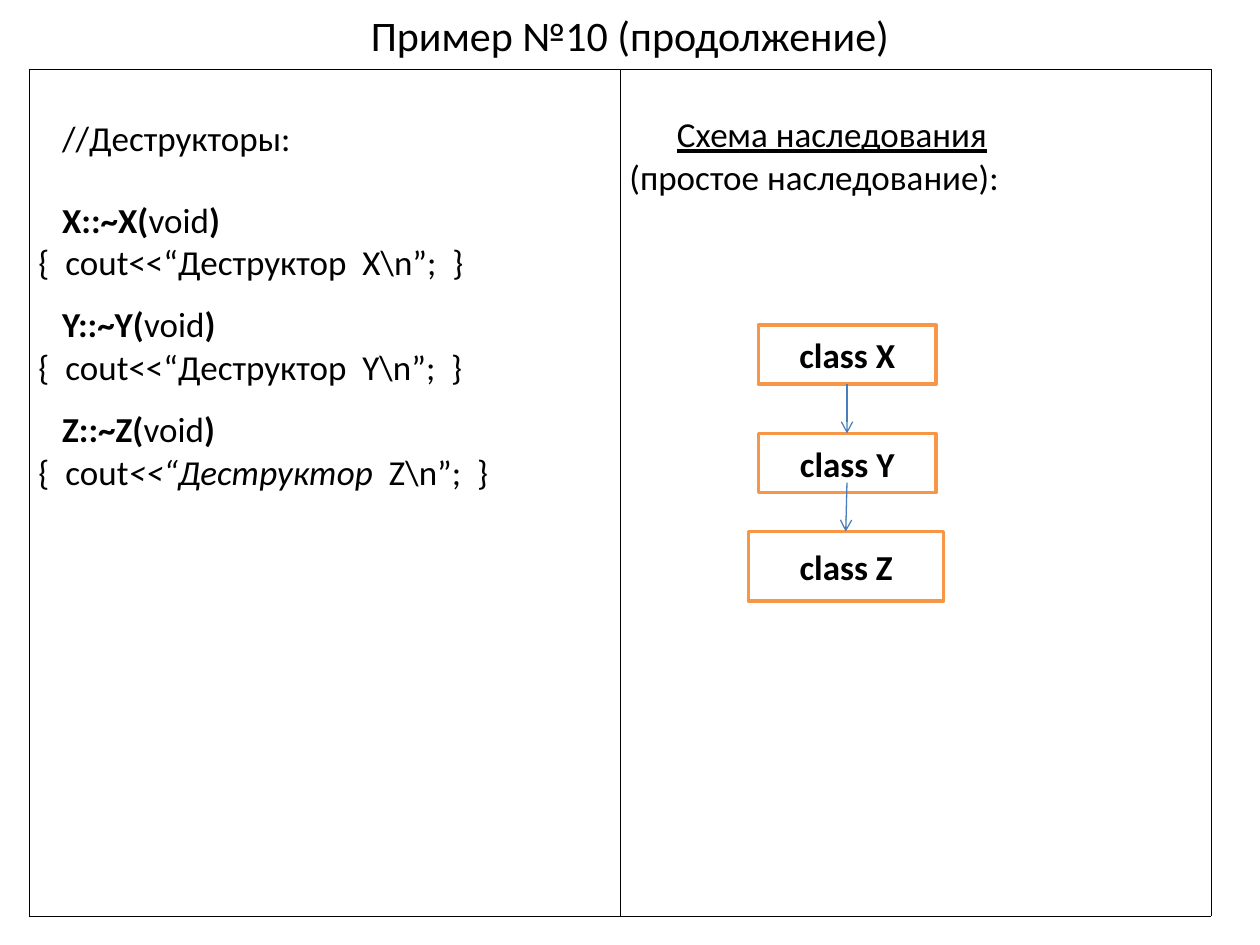
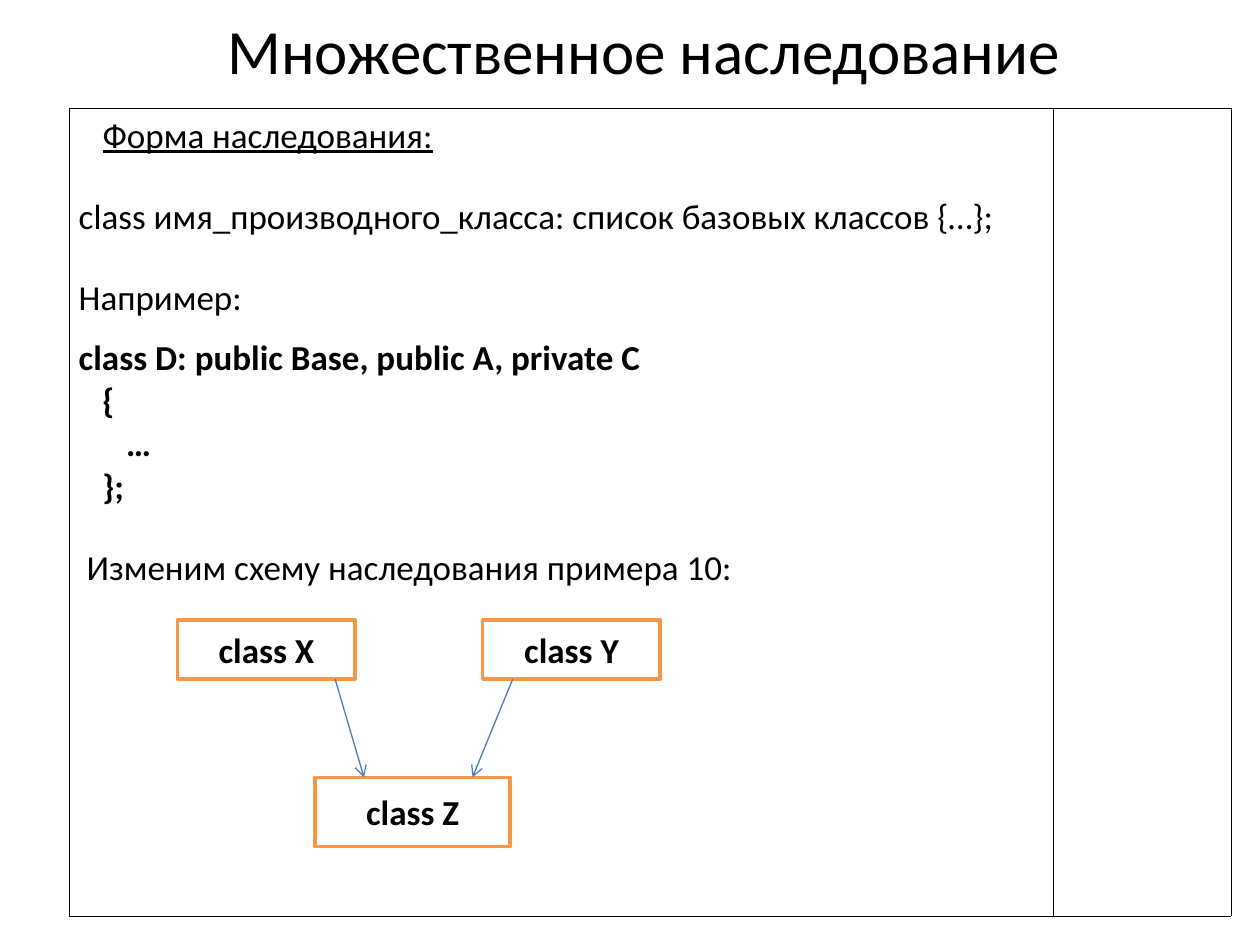
from lxml import etree
from pptx import Presentation
from pptx.dml.color import RGBColor
from pptx.enum.shapes import MSO_CONNECTOR, MSO_SHAPE
from pptx.enum.text import MSO_ANCHOR, PP_ALIGN
from pptx.oxml.ns import qn
from pptx.util import Pt

RECT, STRAIGHT = MSO_SHAPE.RECTANGLE, MSO_CONNECTOR.STRAIGHT
MIDDLE, CENTER = MSO_ANCHOR.MIDDLE, PP_ALIGN.CENTER
LEFT, JUSTIFY = PP_ALIGN.LEFT, PP_ALIGN.JUSTIFY

FONT, BODY_SIZE = "Calibri", 20
BLACK, WHITE, ORANGE, BLUE = "000000", "FFFFFF", "F79646", "4A7EBB"
SMALL, LARGE = (101.5, 33.8), (111.6, 39.6)
GAP = 22


def para(*runs, gap=0, indent=0, tab=None):
    return {"runs": runs, "gap": gap, "indent": indent, "tab": tab}


def destructor(name, gap, *body):
    head = para((f"   {name}::~{name}(", "b"), ("void", ""), (")", "b"), gap=gap)
    return [head, para(*(body or ((f"{{  cout<<“Деструктор  {name}\\n”;  }}", ""),)))]


SLIDES = [
    {
        "title": ("Пример №10 (продолжение)", 24, (0, 0, 720, 39.6)),
        "table": (16.6, 39.6, (337.7, 337.7), 483.8),
        "cells": [
            (28, JUSTIFY, [
                para(("   //Деструкторы:", "")),
                *destructor("X", GAP),
                *destructor("Y", 11),
                *destructor("Z", 11, ("{  cout", ""), ("<<“Деструктор  ", "i"),
                            ("Z\\n”;  }", "")),
            ]),
            (25.6, LEFT, [
                para(("Схема наследования\t", "u"), indent=27.1, tab=276),
                para(("(простое наследование):", "")),
            ]),
        ],
        "boxes": [("class X", 433.4, 185.8, SMALL), ("class Y", 433.4, 247.7, SMALL),
                  ("class Z", 427.7, 303.8, LARGE)],
        "arrows": [(484, 219.6, 484, 247.7), (484, 275.8, 483.3, 303.8)],
    },
    {
        "title": ("Множественное наследование", 36, (62, 0, 612, 56.2)),
        "table": (39.6, 61.9, (562.3, 101.5), 461.5),
        "cells": [
            (3.6, JUSTIFY, [
                para(("Форма наследования:", "u"), indent=13.6),
                para(("class имя_производного_класса: список базовых классов {…};", ""),
                     gap=GAP),
                para(("Например:", ""), gap=GAP),
                para(("class D: public Base, public A, private C", "b"), gap=9.8),
                para(("   {", "b")),
                para(("      …", "b")),
                para(("   };", "b")),
                para(("Изменим схему наследования примера 10:", ""), gap=GAP, indent=4.5),
            ]),
        ],
        "boxes": [("class X", 101.5, 354.2, SMALL), ("class Y", 275.8, 354.2, SMALL),
                  ("class Z", 180, 444.2, LARGE)],
        "arrows": [(191.5, 388, 208, 444.2), (293, 388, 270, 444.2)],
    },
]


def rgb(color):
    return RGBColor.from_string(color)


def style(font, size, bold=None):
    font.name, font.size, font.bold = FONT, Pt(size), bold
    font.color.rgb = rgb(BLACK)


def add_title(s, text, size, box):
    sp = s.shapes.title
    sp.left, sp.top, sp.width, sp.height = map(Pt, box)
    tf = sp.text_frame
    tf.text, tf.vertical_anchor = text, MIDDLE
    p = tf.paragraphs[0]
    p.alignment = CENTER
    style(p.font, size)


def set_borders(cell):
    tc_pr = cell._tc.get_or_add_tcPr()
    for i, side in enumerate(("lnL", "lnR", "lnT", "lnB")):
        ln = etree.Element(qn(f"a:{side}"), w=str(Pt(0.45)))
        fill = etree.SubElement(ln, qn("a:solidFill"))
        etree.SubElement(fill, qn("a:srgbClr"), val=BLACK)
        tc_pr.insert(i, ln)


def fill_cell(cell, top, align, paras):
    cell.margin_left = cell.margin_right = Pt(5.4)
    cell.margin_top = Pt(top)
    tf = cell.text_frame
    for i, item in enumerate(paras):
        p = tf.add_paragraph() if i else tf.paragraphs[0]
        p.alignment = align
        if item["gap"]:
            p.space_before = Pt(item["gap"])
        p_pr = p._p.get_or_add_pPr()
        if item["indent"]:
            p_pr.set("indent", str(Pt(item["indent"])))
        if item["tab"]:
            tabs = etree.SubElement(p_pr, qn("a:tabLst"))
            etree.SubElement(tabs, qn("a:tab"), pos=str(Pt(item["tab"])), algn="l")
        style(p.font, BODY_SIZE)
        for text, marks in item["runs"]:
            r = p.add_run()
            r.text = text
            style(r.font, BODY_SIZE, "b" in marks)
            r.font.italic, r.font.underline = "i" in marks, "u" in marks


def add_grid(s, left, top, widths, height, contents):
    frame = s.shapes.add_table(1, len(widths), Pt(left), Pt(top), Pt(sum(widths)), Pt(height))
    table = frame.table
    table.first_row = table.horz_banding = False
    for column, width in zip(table.columns, widths):
        column.width = Pt(width)
    for cell in table.iter_cells():
        cell.fill.background()
        set_borders(cell)
    for cell, content in zip(table.iter_cells(), contents):
        fill_cell(cell, *content)


def add_box(s, text, left, top, size):
    sp = s.shapes.add_shape(RECT, Pt(left), Pt(top), *map(Pt, size))
    sp.shadow.inherit = False
    sp.fill.solid()
    sp.fill.fore_color.rgb = rgb(WHITE)
    sp.line.color.rgb, sp.line.width = rgb(ORANGE), Pt(2)
    tf = sp.text_frame
    tf.text, tf.vertical_anchor = text, MIDDLE
    p = tf.paragraphs[0]
    p.alignment = CENTER
    style(p.font, BODY_SIZE, True)


def add_arrow(s, *ends):
    line = s.shapes.add_connector(STRAIGHT, *map(Pt, ends))
    line.line.color.rgb, line.line.width = rgb(BLUE), Pt(0.75)
    etree.SubElement(line.line._get_or_add_ln(), qn("a:tailEnd"), type="arrow")
    etree.SubElement(line._element.spPr, qn("a:effectLst"))


def main():
    """Build the two inheritance slides."""
    prs = Presentation()
    prs.slide_width, prs.slide_height = Pt(720), Pt(540)
    for content in SLIDES:
        s = prs.slides.add_slide(prs.slide_layouts[5])
        add_title(s, *content["title"])
        add_grid(s, *content["table"], content["cells"])
        for box in content["boxes"]:
            add_box(s, *box)
        for ends in content["arrows"]:
            add_arrow(s, *ends)
    prs.save("out.pptx")


if __name__ == "__main__":
    main()
